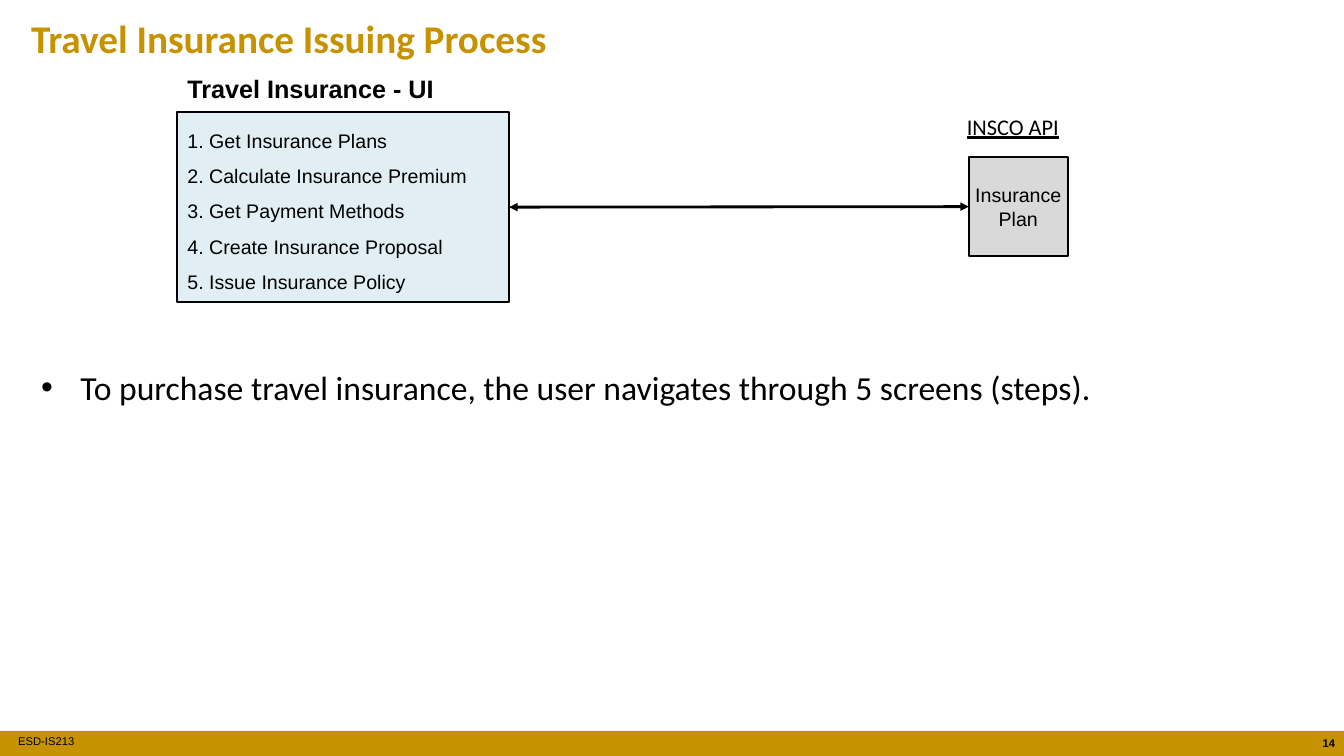
"""Build the travel insurance issuing process slide."""
from dataclasses import dataclass, field
from typing import Any, Optional

from lxml.etree import SubElement
from pptx import Presentation
from pptx.dml.color import RGBColor
from pptx.enum.shapes import MSO_CONNECTOR as Connector, MSO_SHAPE as Preset
from pptx.enum.text import MSO_ANCHOR as Anchor, PP_ALIGN as Align
from pptx.oxml.ns import qn
from pptx.util import Inches, Pt

GOLD, BLACK, GREY, PALE_BLUE = "C69200", "000000", "D9D9D9", "E1EFF4"
INSETS = (0.1, 0.05, 0.1, 0.05)


@dataclass
class Block:
    """A text box, or a rectangle when a fill is given."""
    at: tuple[float, float, float, float]
    lines: list[str] = field(default_factory=list)
    size: int = 14
    font: str = "Arial"
    color: str = BLACK
    fill: Optional[str] = None
    outlined: bool = False
    bullet: Optional[str] = None
    anchor: Anchor = Anchor.TOP
    insets: tuple[float, float, float, float] = INSETS
    font_format: dict[str, Any] = field(default_factory=dict)
    paragraph_format: dict[str, Any] = field(default_factory=dict)


FOOTER_BAR = Block((0, 7.25, 13.33, 0.25), fill=GOLD)
COURSE = Block((0.18, 7.24, 1.72, 0.25), ["ESD-IS213"], size=8,
               insets=(0, 0.05, 0, 0.05))
PAGE_NUMBER = Block((12.95, 7.26, 0.39, 0.24), ["14"], size=8,
                    font_format={"bold": True},
                    paragraph_format={"alignment": Align.RIGHT})
TITLE = Block((0.21, 0.09, 10.96, 0.62), ["Travel Insurance Issuing Process"],
              size=28, font="Calibri", color=GOLD, font_format={"bold": True})
PLAN = Block((9.61, 1.56, 0.98, 0.98), ["Insurance Plan"], fill=GREY,
             outlined=True, anchor=Anchor.MIDDLE, insets=(0.04,) * 4,
             paragraph_format={"alignment": Align.CENTER})
SCREENS = Block((1.76, 1.11, 3.29, 1.89),
                ["1. Get Insurance Plans", "2. Calculate Insurance Premium",
                 "3. Get Payment Methods", "4. Create Insurance Proposal",
                 "5. Issue Insurance Policy"],
                fill=PALE_BLUE, outlined=True,
                paragraph_format={"alignment": Align.LEFT, "line_spacing": 1.5})
SCREENS_LABEL = Block((1.76, 0.68, 3.26, 0.4), ["Travel Insurance - UI"],
                      size=18, font_format={"bold": True})
API_LABEL = Block((9.49, 1.07, 2.58, 0.37), ["INSCO API"], size=16,
                  font="Calibri", font_format={"underline": True})
SUMMARY = Block((0.31, 3.59, 12.34, 2.91),
                ["To purchase travel insurance, the user navigates through "
                 "5 screens (steps)."],
                size=24, font="Calibri", bullet="•")


def rgb(color: str) -> RGBColor:
    """Turn a hex string into a colour."""
    return RGBColor.from_string(color)


def apply(target: Any, values: dict[str, Any]) -> None:
    """Set each named attribute on the target."""
    for name, value in values.items():
        setattr(target, name, value)


def add_bullet(paragraph: Any, character: str) -> None:
    """Give a paragraph a hanging bullet."""
    properties = paragraph._p.get_or_add_pPr()
    properties.set("marL", str(Inches(0.39)))
    properties.set("indent", str(Inches(-0.39)))
    SubElement(properties, qn("a:buFont"), typeface="Arial")
    SubElement(properties, qn("a:buChar"), char=character)


def write_text(shape: Any, block: Block) -> None:
    """Fill a shape with the lines of its block."""
    frame = shape.text_frame
    left, top, right, bottom = map(Inches, block.insets)
    apply(frame, {"word_wrap": True, "vertical_anchor": block.anchor,
                  "margin_left": left, "margin_top": top,
                  "margin_right": right, "margin_bottom": bottom})
    frame.text = "\n".join(block.lines)
    for paragraph in frame.paragraphs:
        if block.bullet:
            add_bullet(paragraph, block.bullet)
        apply(paragraph, block.paragraph_format)
        for run in paragraph.runs:
            apply(run.font, {"name": block.font, "size": Pt(block.size),
                             **block.font_format})
            run.font.color.rgb = rgb(block.color)


def add_block(slide: Any, block: Block) -> Any:
    """Draw one block and return its shape."""
    bounds = tuple(map(Inches, block.at))
    if block.fill:
        shape = slide.shapes.add_shape(Preset.RECTANGLE, *bounds)
        shape.shadow.inherit = False
        shape.fill.solid()
        shape.fill.fore_color.rgb = rgb(block.fill)
        if block.outlined:
            shape.line.color.rgb = rgb(BLACK)
            shape.line.width = Pt(1.5)
        else:
            shape.line.fill.background()
    else:
        shape = slide.shapes.add_textbox(*bounds)
    if block.lines:
        write_text(shape, block)
    return shape


def add_double_arrow(slide: Any, start: Any, end: Any) -> None:
    """Join the left side of start to the right side of end."""
    arrow = slide.shapes.add_connector(Connector.STRAIGHT, 0, 0, 0, 0)
    arrow.begin_connect(start, 1)
    arrow.end_connect(end, 3)
    arrow.line.color.rgb = rgb(BLACK)
    arrow.line.width = Pt(2)
    outline = arrow.line._get_or_add_ln()
    for tag in ("a:headEnd", "a:tailEnd"):
        SubElement(outline, qn(tag), type="triangle")
    SubElement(arrow._element.spPr, qn("a:effectLst"))


def main() -> None:
    """Build and save the slide."""
    presentation = Presentation()
    apply(presentation, {"slide_width": Inches(13.33),
                         "slide_height": Inches(7.5)})
    slide = presentation.slides.add_slide(presentation.slide_layouts[6])
    for block in (FOOTER_BAR, COURSE, PAGE_NUMBER, TITLE):
        add_block(slide, block)
    plan = add_block(slide, PLAN)
    screens = add_block(slide, SCREENS)
    add_double_arrow(slide, plan, screens)
    for block in (SCREENS_LABEL, API_LABEL, SUMMARY):
        add_block(slide, block)
    presentation.save("out.pptx")


if __name__ == "__main__":
    main()
